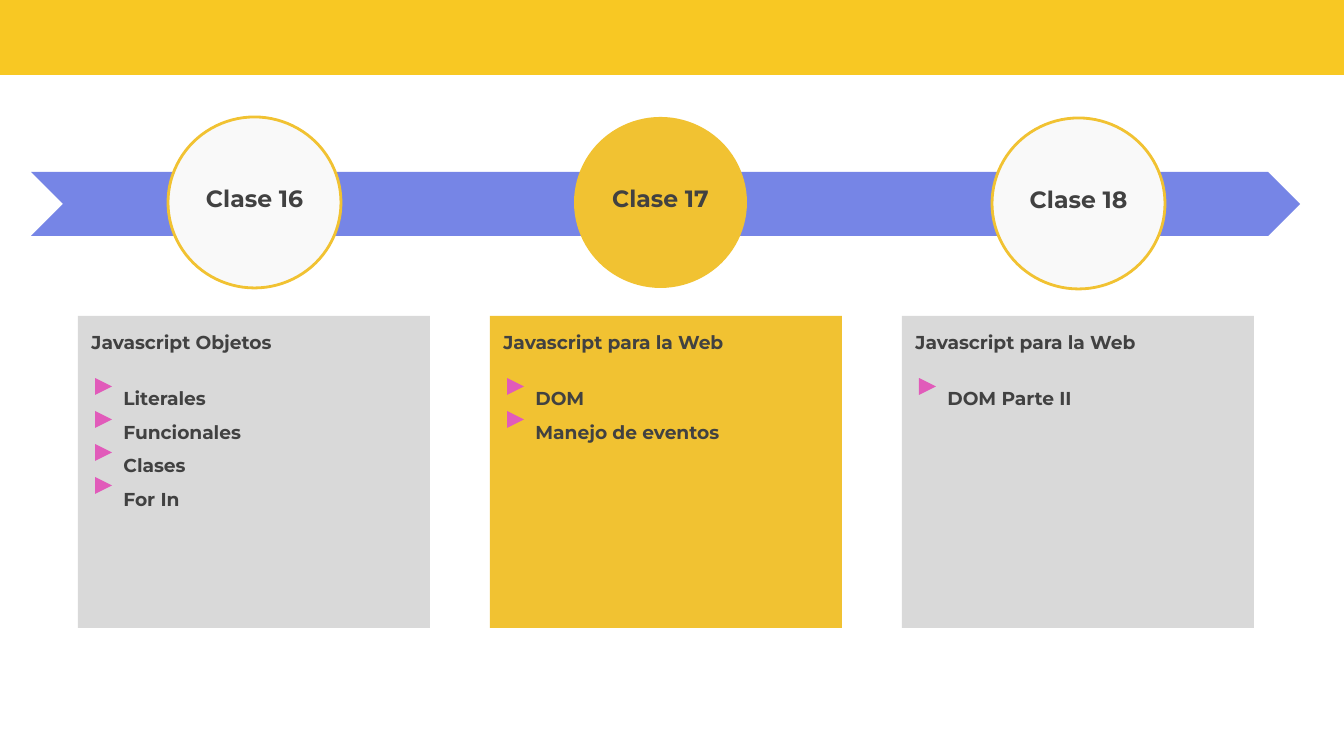
from pptx import Presentation
from pptx import util as u
from pptx.dml.color import RGBColor
from pptx.enum import shapes, text

SCALE = 914400 / 134.4  # EMU in one pixel
YELLOW = RGBColor(0xF8, 0xC8, 0x23)
GOLD = RGBColor(0xF1, 0xC2, 0x32)
BLUE = RGBColor(0x76, 0x85, 0xE6)
PALE = RGBColor(0xF9, 0xF9, 0xF9)
GREY = RGBColor(0xD9, 0xD9, 0xD9)
PINK = RGBColor(0xE1, 0x5B, 0xBA)
INK = RGBColor(0x41, 0x41, 0x41)
FONT = "Montserrat"

# Circle left and top, placeholder index for the card, label, topic, items
CLASSES = [
    (168, 117, 1, "Clase 16", "Javascript Objetos",
     ["Literales", "Funcionales", "Clases", "For In"]),
    (574, 117, 2, "Clase 17", "Javascript para la Web",
     ["DOM", "Manejo de eventos"]),
    (992, 118, 4, "Clase 18", "Javascript para la Web", ["DOM Parte II"]),
]
CURRENT = "Clase 17"
CIRCLE_W, CIRCLE_H = 173, 171
CARD_LEFT, CARD_TOP, CARD_W, CARD_H, CARD_PITCH = 78, 316, 352, 312, 412
MARKER, MARKER_PITCH = 17, 33


def px(length):
    """Turn pixels into EMU."""
    return u.Emu(round(length * SCALE))


def add_figure(slide, kind, box, fill, outline=None):
    """Add a flat preset shape in a pixel box."""
    figure = slide.shapes.add_shape(kind, *map(px, box))
    figure.shadow.inherit = False
    figure.fill.solid()
    figure.fill.fore_color.rgb = fill
    if outline is None:
        figure.line.fill.background()
    else:
        figure.line.color.rgb = outline
        figure.line.width = u.Pt(1.5)
    return figure


def place(slide, holder, box):
    """Bring a text holder to the front, in a pixel box with even insets."""
    slide.shapes._spTree.append(holder._element)
    holder.left, holder.top, holder.width, holder.height = map(px, box)
    frame = holder.text_frame
    frame.word_wrap = True
    frame.auto_size = text.MSO_AUTO_SIZE.NONE
    frame.vertical_anchor = text.MSO_ANCHOR.TOP
    frame.margin_left = frame.margin_right = u.Inches(0.1)
    frame.margin_top = frame.margin_bottom = u.Inches(0.1)
    return frame


def write(paragraph, words, size=10, align=text.PP_ALIGN.LEFT, spacing=1.0,
          before=0, indent=0):
    """Write one formatted paragraph without a bullet."""
    run = paragraph.add_run()
    run.text = words
    run.font.name, run.font.size, run.font.bold = FONT, u.Pt(size), True
    run.font.color.rgb = INK
    paragraph.alignment = align
    paragraph.line_spacing = spacing
    paragraph.space_before, paragraph.space_after = u.Pt(before), u.Pt(0)
    properties = paragraph._p.get_or_add_pPr()
    properties.set("marL", str(px(indent)))
    properties.set("indent", "0")
    properties.insert_element_before(
        properties.makeelement(
            "{http://schemas.openxmlformats.org/drawingml/2006/main}buNone"),
        "a:tabLst", "a:defRPr", "a:extLst")


def add_milestone(slide, left, top, label):
    """Draw a class circle on the timeline, with its label."""
    current = label == CURRENT
    add_figure(slide, shapes.MSO_SHAPE.OVAL, (left, top, CIRCLE_W, CIRCLE_H),
               GOLD if current else PALE, None if current else GOLD)
    holder = (slide.shapes.title if current
              else slide.shapes.add_textbox(0, 0, 0, 0))
    frame = place(slide, holder, (left + 19, top + 54, CIRCLE_W - 38, 44))
    write(frame.paragraphs[0], label, size=12.6, align=text.PP_ALIGN.CENTER)


def add_card(slide, left, top, holder, fill, topic, items):
    """Draw a class card with its topic and marked list."""
    add_figure(slide, shapes.MSO_SHAPE.RECTANGLE,
               (left, top, CARD_W, CARD_H), fill)
    frame = place(slide, holder, (left, top + 1, CARD_W, CARD_H))
    write(frame.paragraphs[0], topic)
    for row, item in enumerate(items):
        write(frame.add_paragraph(), item, spacing=1.5, indent=32,
              before=0 if row else 12.2)
        marker = add_figure(
            slide, shapes.MSO_SHAPE.ISOSCELES_TRIANGLE,
            (left + 17, top + 62 + row * MARKER_PITCH, MARKER, MARKER), PINK)
        marker.rotation = 90


def build_timeline(slide):
    """Fill the slide with the banner, the arrow and the three classes."""
    add_figure(slide, shapes.MSO_SHAPE.RECTANGLE, (-1, -7, 1348, 82), YELLOW)
    add_figure(slide, shapes.MSO_SHAPE.CHEVRON, (31, 172, 1269, 64), BLUE)
    bodies = {p.placeholder_format.idx: p for p in slide.placeholders}
    for column, (left, top, idx, label, topic, items) in enumerate(CLASSES):
        add_milestone(slide, left, top, label)
        add_card(slide, CARD_LEFT + column * CARD_PITCH, CARD_TOP, bodies[idx],
                 GOLD if label == CURRENT else GREY, topic, items)
    unused = bodies[3]._element
    unused.getparent().remove(unused)


deck = Presentation()
deck.slide_width, deck.slide_height = px(1344), px(756)
build_timeline(deck.slides.add_slide(deck.slide_layouts.get_by_name("Comparison")))
deck.save("out.pptx")
